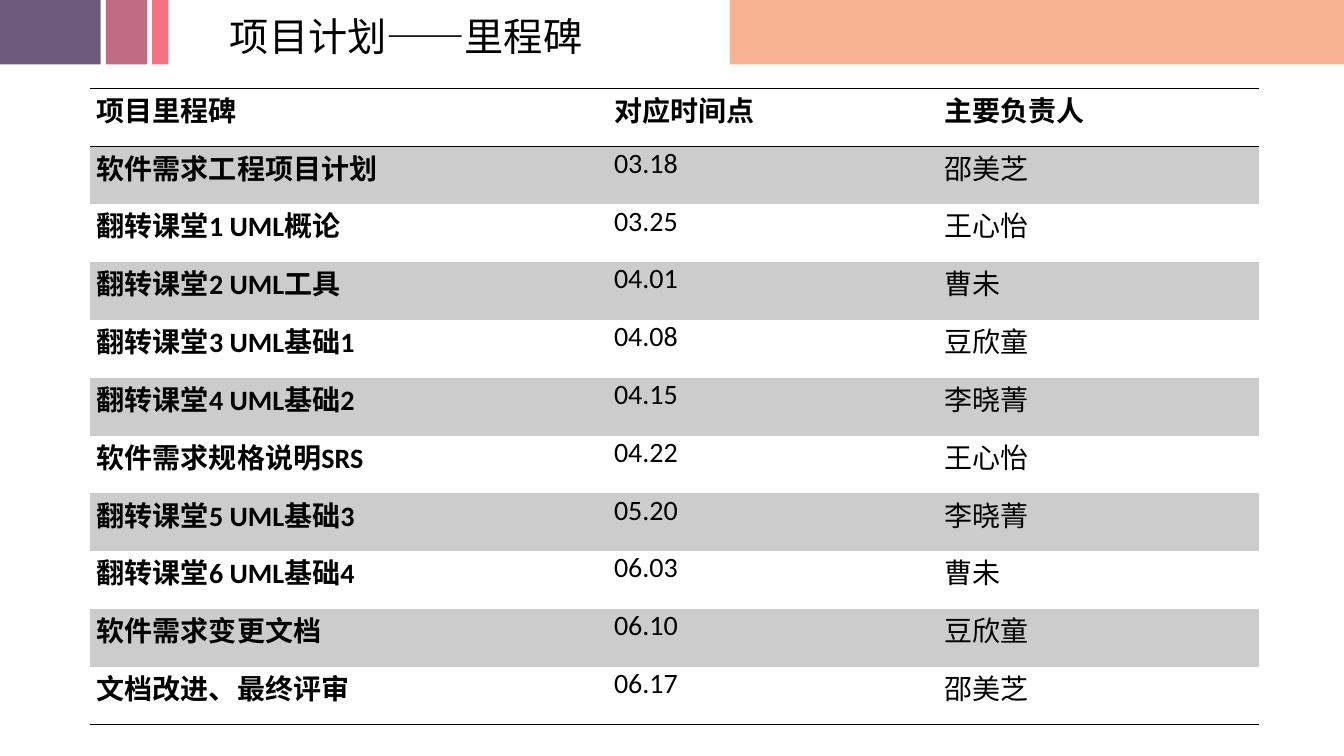
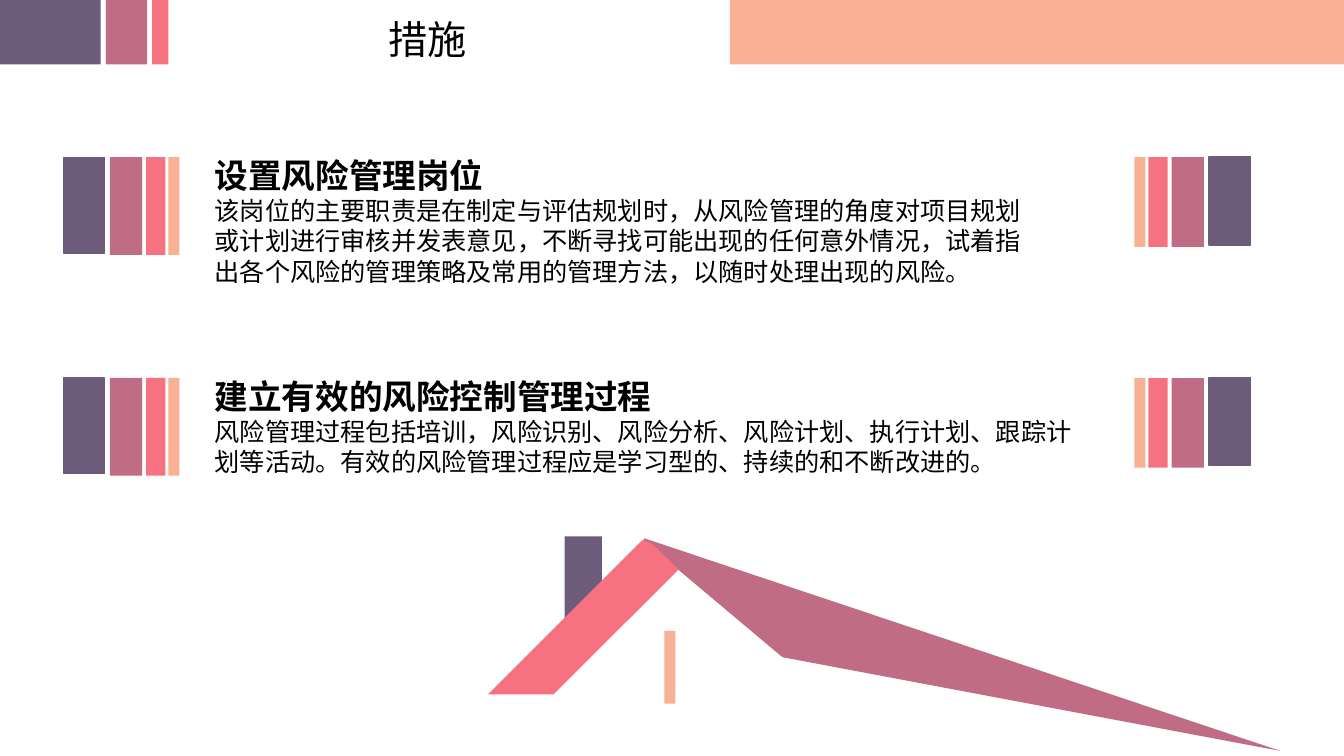
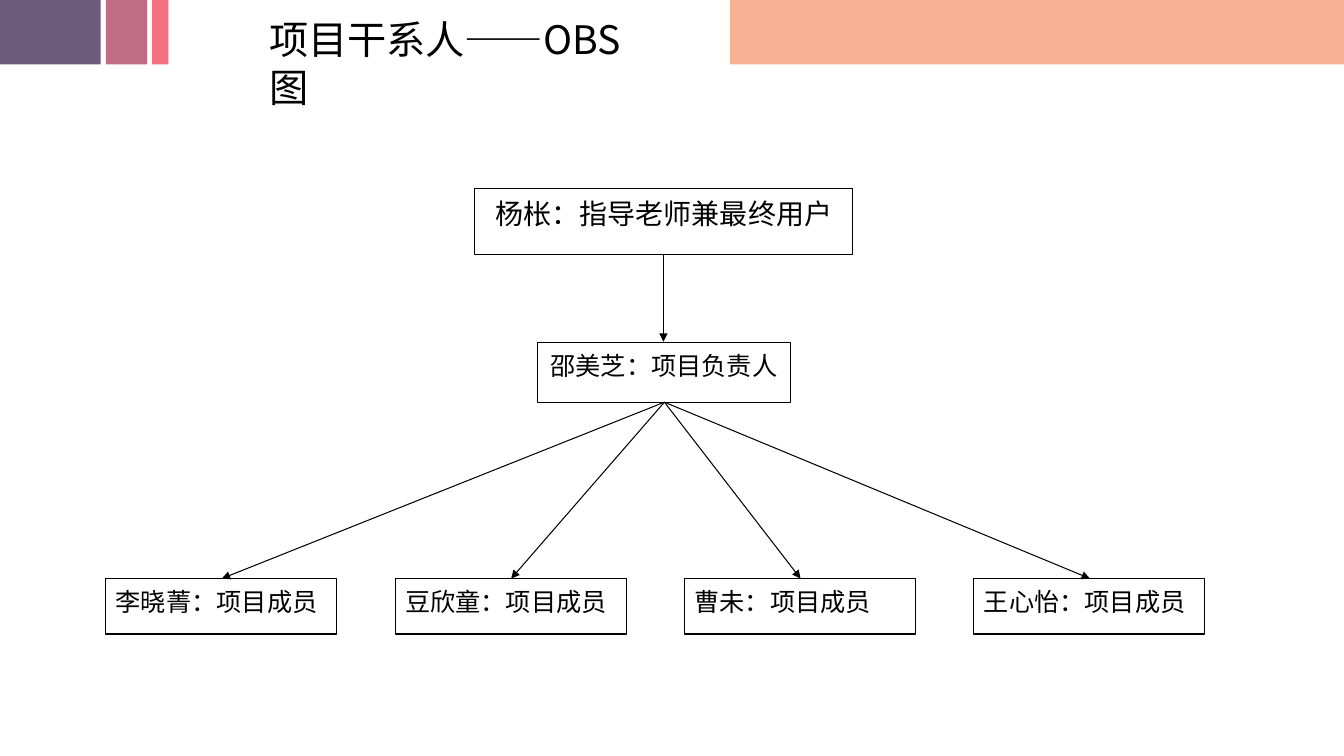
from lxml import etree
from pptx import Presentation
from pptx.dml.color import RGBColor
from pptx.enum.shapes import MSO_CONNECTOR, MSO_SHAPE
from pptx.enum.text import MSO_ANCHOR, MSO_AUTO_SIZE, PP_ALIGN
from pptx.oxml.ns import qn
from pptx.util import Inches, Pt

RECT = MSO_SHAPE.RECTANGLE
STRAIGHT = MSO_CONNECTOR.STRAIGHT
LEFT, CENTER, JUSTIFY = PP_ALIGN.LEFT, PP_ALIGN.CENTER, PP_ALIGN.JUSTIFY
TOP = MSO_ANCHOR.TOP
FIXED = MSO_AUTO_SIZE.NONE

PLUM, MAUVE, CORAL, PEACH = "6C5B7B", "C06C84", "F67280", "F8B193"
BLACK, WHITE, GREY = "000000", "FFFFFF", "CCCCCC"
HAN, BODY, SERIF = "Noto Sans CJK SC", "Calibri", "Times New Roman"

BANDS = [(7.24, 6.09, PEACH), (0, 1, PLUM), (1.05, 0.41, MAUVE), (1.51, 0.16, CORAL)]
BARS = [(0.63, 0.41, PLUM), (1.67, 0.11, PEACH), (1.45, 0.19, CORAL), (1.09, 0.32, MAUVE)]
MIRROR = 13.03

MILESTONES = [
    ("项目里程碑", "对应时间点", "主要负责人"),
    ("软件需求工程项目计划", "03.18", "邵美芝"),
    ("翻转课堂1 UML概论", "03.25", "王心怡"),
    ("翻转课堂2 UML工具", "04.01", "曹未"),
    ("翻转课堂3 UML基础1", "04.08", "豆欣童"),
    ("翻转课堂4 UML基础2", "04.15", "李晓菁"),
    ("软件需求规格说明SRS", "04.22", "王心怡"),
    ("翻转课堂5 UML基础3", "05.20", "李晓菁"),
    ("翻转课堂6 UML基础4", "06.03", "曹未"),
    ("软件需求变更文档", "06.10", "豆欣童"),
    ("文档改进、最终评审", "06.17", "邵美芝"),
]
MEASURES = [
    (1.47, "设置风险管理岗位", [
        "该岗位的主要职责是在制定与评估规划时，从风险管理的角度对项目规划",
        "或计划进行审核并发表意见，不断寻找可能出现的任何意外情况，试着指",
        "出各个风险的管理策略及常用的管理方法，以随时处理出现的风险。"]),
    (3.66, "建立有效的风险控制管理过程", [
        "风险管理过程包括培训，风险识别、风险分析、风险计划、执行计划、跟踪计划等活动。"
        "有效的风险管理过程应是学习型的、持续的和不断改进的。"]),
]
MEMBERS = ["李晓菁", "豆欣童", "曹未", "王心怡"]


def color(code):
    return RGBColor.from_string(code)


class Deck:
    """Holds the shared style and the current slide."""

    def __init__(self):
        self.prs = Presentation()
        self.prs.slide_width = Inches(13.33)
        self.prs.slide_height = Inches(7.5)
        self.slide = None

    def start(self, title, left, top, width):
        self.slide = self.prs.slides.add_slide(self.prs.slide_layouts[5])
        for x, w, fill in BANDS:
            self.rect(x, 0, w, 0.64, fill)
        box = self.slide.shapes.title
        box.left, box.top = Inches(left), Inches(top)
        box.width, box.height = Inches(width), Inches(0.57)
        frame = self.frame(box)
        frame.text = title
        self.style(frame.paragraphs[0], 28, HAN, lead=34)

    def frame(self, box):
        frame = box.text_frame
        frame.word_wrap = True
        frame.auto_size = FIXED
        frame.vertical_anchor = TOP
        return frame

    def style(self, para, size, face, bold=False, align=LEFT, lead=None):
        para.alignment = align
        if lead:
            para.line_spacing = Pt(lead)
        font = para.font
        font.size, font.bold = Pt(size), bold
        font.color.rgb = color(BLACK)
        font.name = face
        props = para._p.pPr.find(qn("a:defRPr"))
        etree.SubElement(props, qn("a:ea"), typeface=HAN)

    def paint(self, shape, fill, line=None, width=1):
        shape.shadow.inherit = False
        shape.fill.solid()
        shape.fill.fore_color.rgb = color(fill)
        if line:
            shape.line.color.rgb = color(line)
            shape.line.width = Pt(width)
        else:
            shape.line.fill.background()

    def rect(self, x, y, w, h, fill, line=None, width=1):
        shape = self.slide.shapes.add_shape(RECT, Inches(x), Inches(y), Inches(w), Inches(h))
        self.paint(shape, fill, line, width)
        return shape

    def poly(self, points, fill):
        spots = [(Inches(x), Inches(y)) for x, y in points]
        pen = self.slide.shapes.build_freeform(*spots[0], scale=1.0)
        pen.add_line_segments(spots[1:], close=True)
        self.paint(pen.convert_to_shape(), fill)

    def node(self, text, x, y, w, h, size, align=CENTER):
        frame = self.frame(self.rect(x, y, w, h, WHITE, BLACK, 0.75))
        frame.text = text
        self.style(frame.paragraphs[0], size, SERIF, align=align, lead=size * 1.3)

    def arrow(self, x1, y1, x2, y2):
        link = self.slide.shapes.add_connector(
            STRAIGHT, Inches(x1), Inches(y1), Inches(x2), Inches(y2))
        link.line.color.rgb = color(BLACK)
        link.line.width = Pt(0.75)
        etree.SubElement(link.line._get_or_add_ln(), qn("a:tailEnd"), type="triangle")
        etree.SubElement(link._element.spPr, qn("a:effectLst"))

    def note(self, y, head, lines):
        box = self.slide.shapes.add_textbox(Inches(2.03), Inches(y), Inches(8.71), Inches(1.5))
        frame = self.frame(box)
        frame.text = "\n".join([head, *lines])
        first, *rest = frame.paragraphs
        self.style(first, 24, HAN, bold=True, lead=30)
        for para in rest:
            self.style(para, 18, BODY, lead=21.75)

    def bars(self, y, high, flip=False):
        for x, w, fill in BARS:
            left = MIRROR - x - w if flip else x
            edge, cut = (PLUM, 0.02) if fill == PLUM else (None, 0)
            self.rect(left, y, w, high - cut, fill, edge)

    def edge(self, cell, side, shown):
        props = cell._tc.get_or_add_tcPr()
        line = etree.SubElement(props, qn("a:ln" + side), w=str(Pt(1)))
        if shown:
            fill = etree.SubElement(line, qn("a:solidFill"))
            etree.SubElement(fill, qn("a:srgbClr"), val=BLACK)
        else:
            etree.SubElement(line, qn("a:noFill"))

    def table(self, rows, x, y, widths, high):
        grid = self.slide.shapes.add_table(
            len(rows), len(widths), Inches(x), Inches(y),
            Inches(sum(widths)), Inches(high)).table
        grid.first_row = grid.horz_banding = False
        for col, width in zip(grid.columns, widths):
            col.width = Inches(width)
        last = len(rows) - 1
        for r, row in enumerate(rows):
            for c, text in enumerate(row):
                cell = grid.cell(r, c)
                cell.text = text
                cell.margin_left = cell.margin_right = Inches(0.07)
                cell.margin_top = cell.margin_bottom = 0
                self.style(cell.text_frame.paragraphs[0], 20, BODY,
                           bold=r == 0 or c == 0, align=JUSTIFY)
                for side, shown in zip("LRTB", (False, False, r < 2, r in (0, last))):
                    self.edge(cell, side, shown)
                if r % 2:
                    cell.fill.solid()
                    cell.fill.fore_color.rgb = color(GREY)
                else:
                    cell.fill.background()


def main():
    deck = Deck()

    deck.start("项目计划——里程碑", 2.18, 0.07, 4)
    deck.table(MILESTONES, 0.89, 0.88, [5.13, 3.28, 3.19], 6.31)

    deck.start("措施", 3.75, 0.1, 1.2)
    for y, head, lines in MEASURES:
        deck.bars(y + 0.09, 0.97)
        deck.bars(y + 0.09, 0.89, flip=True)
        deck.note(y, head, lines)
    deck.rect(5.6, 5.32, 0.37, 0.91, PLUM)
    deck.poly([(6.39, 5.34), (12.7, 7.45), (7.76, 6.52), (6.38, 5.36)], MAUVE)
    deck.poly([(6.37, 5.36), (6.46, 5.39), (6.73, 5.65), (5.49, 6.89), (4.84, 6.89)], CORAL)
    deck.rect(6.59, 6.26, 0.11, 0.72, PEACH)

    deck.start("项目干系人——OBS图", 2.57, 0.1, 3.93)
    deck.node("杨枨：指导老师兼最终用户", 4.71, 1.87, 3.75, 0.66, 20)
    deck.arrow(6.58, 2.53, 6.58, 3.39)
    deck.node("邵美芝：项目负责人", 5.33, 3.4, 2.51, 0.59, 18)
    for i, name in enumerate(MEMBERS):
        x = 1.05 + 2.87 * i
        deck.node(name + "：项目成员", x, 5.74, 2.29, 0.55, 18, LEFT)
        deck.arrow(6.59, 3.99, x + 1.15, 5.74)

    deck.prs.save("out.pptx")


if __name__ == "__main__":
    main()
